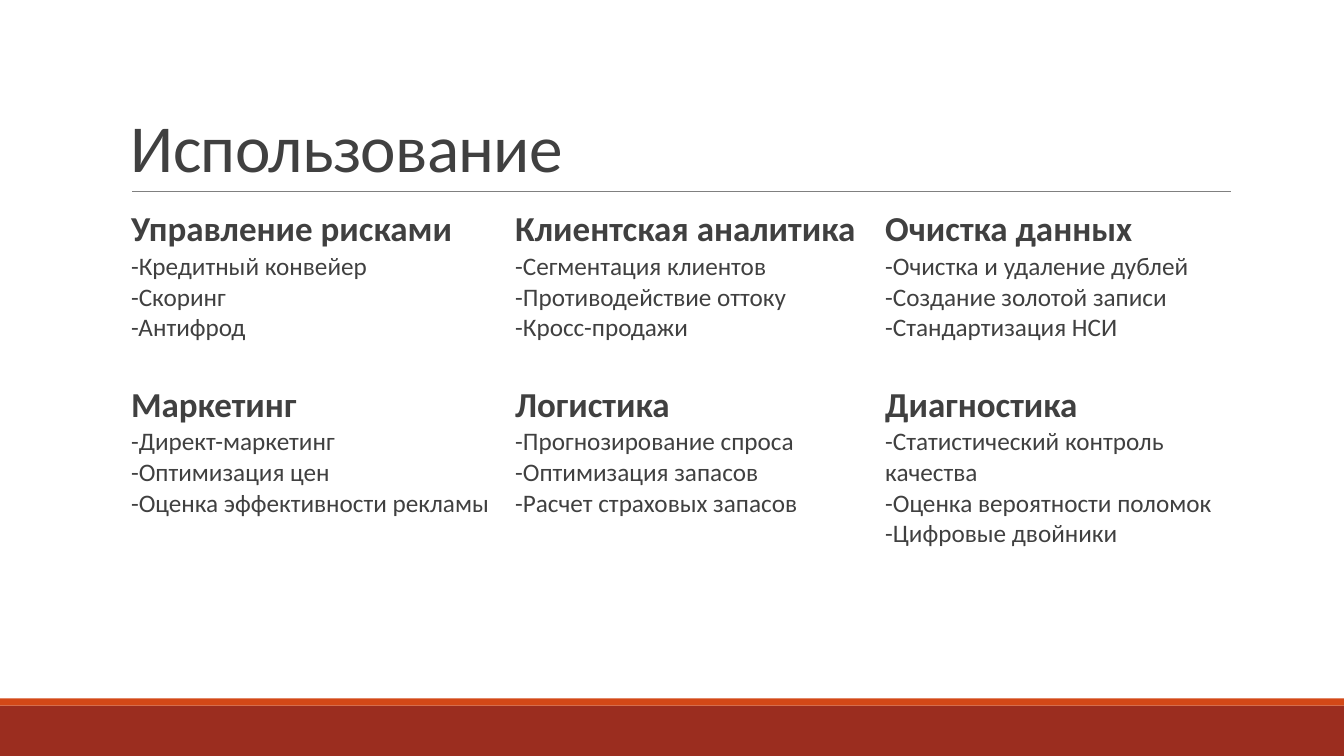
import pptx
import pptx.util
import pptx.dml.color
import pptx.enum.shapes
import pptx.enum.text
import pptx.oxml.ns
import lxml.etree

BRICK = pptx.dml.color.RGBColor(0x9B, 0x2D, 0x1F)
ORANGE = pptx.dml.color.RGBColor(0xD3, 0x48, 0x17)
GRAY = pptx.dml.color.RGBColor(0x80, 0x80, 0x80)
DARK = pptx.dml.color.RGBColor(0x40, 0x40, 0x40)
FONT = "Calibri"

TOPICS = [
    [
        ("Управление рисками", ["Кредитный конвейер", "Скоринг", "Антифрод"]),
        ("Клиентская аналитика", ["Сегментация клиентов", "Противодействие оттоку", "Кросс-продажи"]),
        ("Очистка данных", ["Очистка и удаление дублей", "Создание золотой записи", "Стандартизация НСИ"]),
    ],
    [
        ("Маркетинг", ["Директ-маркетинг", "Оптимизация цен", "Оценка эффективности рекламы"]),
        ("Логистика", ["Прогнозирование спроса", "Оптимизация запасов", "Расчет страховых запасов"]),
        ("Диагностика", ["Статистический контроль качества", "Оценка вероятности поломок", "Цифровые двойники"]),
    ],
]

deck = pptx.Presentation()
deck.slide_width = pptx.util.Inches(13.33)
deck.slide_height = pptx.util.Inches(7.5)
page = deck.slides.add_slide(deck.slide_layouts[6])


def inches(*lengths):
    return [pptx.util.Inches(length) for length in lengths]


def add_span(para, text, size, bold=False):
    span = para.add_run()
    span.text = text
    span.font.name = FONT
    span.font.size = pptx.util.Pt(size)
    span.font.bold = bold
    span.font.color.rgb = DARK
    return span


for top, height, color in [(7, 0.5, BRICK), (6.93, 0.07, ORANGE)]:
    band = page.shapes.add_shape(
        pptx.enum.shapes.MSO_SHAPE.RECTANGLE, *inches(0, top, 13.33, height))
    band.shadow.inherit = False
    band.fill.solid()
    band.fill.fore_color.rgb = color
    band.line.fill.background()

rule = page.shapes.add_connector(
    pptx.enum.shapes.MSO_CONNECTOR.STRAIGHT, *inches(1.31, 1.9, 12.21, 1.9))
rule.line.color.rgb = GRAY
rule.line.width = pptx.util.Pt(0.5)
lxml.etree.SubElement(rule._element.spPr, pptx.oxml.ns.qn("a:effectLst"))

title_box = page.shapes.add_textbox(*inches(1.2, 0.31, 11, 1.59))
title_box.text_frame.word_wrap = True
title_box.text_frame.vertical_anchor = pptx.enum.text.MSO_ANCHOR.BOTTOM
title_para = title_box.text_frame.paragraphs[0]
title_para.line_spacing = 0.85
title_span = add_span(title_para, "Использование", 48)
title_span.font._element.set("spc", "-50")

table = page.shapes.add_table(2, 3, *inches(1.2, 2.02, 11.15, 3.47)).table
table.first_row = False
table.horz_banding = False
for column, width in zip(table.columns, inches(3.81, 3.67, 3.67)):
    column.width = width

for row, topics in zip(table.rows, TOPICS):
    row.height = pptx.util.Inches(1.74)
    for cell, (heading, uses) in zip(row.cells, topics):
        cell.fill.background()
        add_span(cell.text_frame.paragraphs[0], heading, 25, bold=True)
        for use in uses:
            add_span(cell.text_frame.add_paragraph(), "-" + use, 18)

deck.save("out.pptx")
